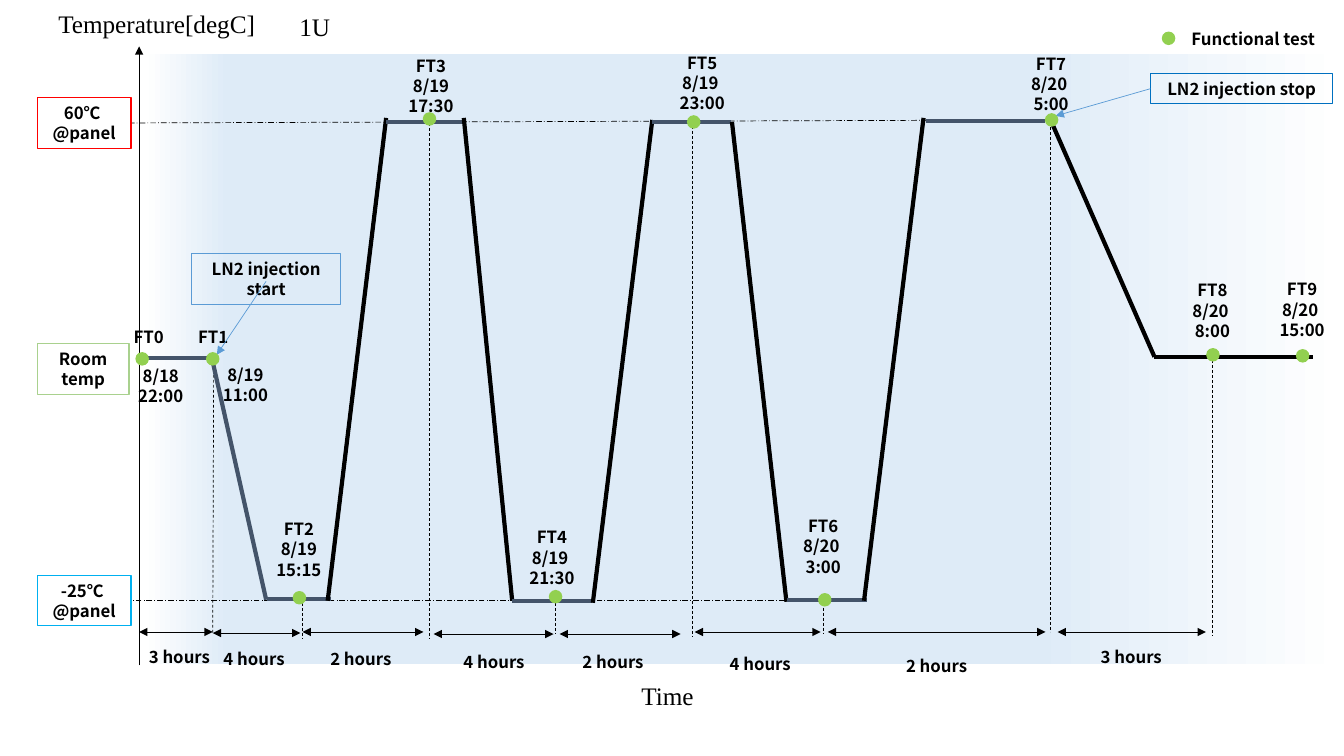
from copy import deepcopy

from lxml.etree import SubElement
from pptx import Presentation
from pptx.dml.color import RGBColor
from pptx.enum.dml import MSO_LINE_DASH_STYLE as Dash
from pptx.enum.shapes import MSO_CONNECTOR as Connector, MSO_SHAPE as Shape
from pptx.enum.text import MSO_AUTO_SIZE as AutoSize, MSO_ANCHOR as Anchor, PP_ALIGN as Align
from pptx.oxml.ns import qn
from pptx.util import Inches, Pt

THEME = {
    "black": "000000", "slate": "44546A", "callout": "5B9BD5", "test": "92D050",
    "hot": "FF0000", "room": "A9D18E", "cold": "00B0F0", "stop": "0070C0",
    "white": "FFFFFF", "chamber": "DEEBF7",
    "label": {"name": "Noto Sans CJK JP", "size": Pt(12), "bold": True},
    "axis": {"name": "Times New Roman", "size": Pt(18), "bold": False},
}
LINE_STYLES = {
    "level": {"color": "black", "width": 0.5, "dash": Dash.LONG_DASH_DOT},
    "drop": {"color": "black", "width": 0.5, "dash": Dash.DASH},
    "axis": {"color": "black", "width": 0.5, "ends": ["tailEnd"]},
    "span": {"color": "black", "width": 0.5, "ends": ["headEnd", "tailEnd"]},
    "callout": {"color": "callout", "width": 0.5, "ends": ["tailEnd"]},
    "ramp": {"color": "black", "width": 3},
    "hold": {"color": "slate", "width": 3},
}
CHAMBER = (1.43, 0.54, 11.9, 6.05)
CHAMBER_STOPS = [(0, "white"), (26, "chamber"), (93, "chamber"), (100, "white")]

GUIDES = [
    ("level", 8.1, 5.96, 1.3, 5.96),
    ("level", 10.37, 1.19, 1.3, 1.22),
    ("axis", 1.38, 6.6, 1.38, 0.46),
]
DROPS = [
    (2.12, 3.57, 2.11, 6.28), (3, 5.98, 3, 6.34), (4.26, 1.17, 4.26, 6.34),
    (5.51, 5.98, 5.51, 6.29), (6.87, 1.15, 6.87, 6.31), (8.17, 5.93, 8.17, 6.29),
    (10.42, 1.21, 10.42, 6.27), (12.02, 3.57, 12.02, 6.31),
]
PROFILE = [
    ("hold", 1.38, 3.55, 2.11, 3.55),
    ("hold", 2.11, 3.59, 2.64, 5.95),
    ("hold", 2.65, 5.94, 3.28, 5.94),
    ("ramp", 3.83, 1.17, 3.25, 5.96),
    ("hold", 3.83, 1.21, 4.61, 1.21),
    ("ramp", 4.6, 1.17, 5.08, 5.96),
    ("hold", 5.08, 5.96, 5.87, 5.96),
    ("ramp", 6.47, 1.19, 5.88, 5.98),
    ("hold", 6.47, 1.21, 7.25, 1.21),
    ("ramp", 7.26, 1.21, 7.8, 5.97),
    ("hold", 7.81, 5.95, 8.6, 5.95),
    ("ramp", 9.16, 1.17, 8.57, 5.96),
    ("hold", 9.18, 1.2, 10.36, 1.2),
    ("ramp", 10.42, 1.19, 11.45, 3.54),
    ("ramp", 11.45, 3.54, 13.02, 3.54),
]
CALLOUT_ARROWS = [(2.64, 2.79, 2.15, 3.52), (11.41, 0.88, 10.47, 1.15)]

DURATIONS = [
    ("3 hours", 1.78, 6.37, (2.11, 1.38, 6.27)),
    ("4 hours", 2.52, 6.39, (2.98, 2.11, 6.28)),
    ("2 hours", 3.58, 6.39, (4.2, 3, 6.27)),
    ("4 hours", 4.9, 6.42, (5.49, 4.3, 6.29)),
    ("2 hours", 6.08, 6.42, (6.75, 5.55, 6.29)),
    ("4 hours", 7.54, 6.44, (8.14, 6.89, 6.27)),
    ("2 hours", 9.29, 6.46, (10.37, 8.21, 6.27)),
    ("3 hours", 11.22, 6.37, (11.96, 10.49, 6.27)),
]
DURATION_SIZE = (1.04, 0.3)

TEST_LABELS = [
    (["FT0"], 1.04, 3.19, 0.87, 0.3),
    (["8/18", "22:00"], 1.03, 3.58, 1.13, 0.5),
    (["FT1"], 1.68, 3.19, 0.87, 0.3),
    (["8/19", "11:00"], 1.87, 3.57, 1.13, 0.5),
    (["FT2", "8/19", "15:15"], 2.53, 5.1, 0.87, 0.71),
    (["FT3", "8/19", "17:30"], 3.84, 0.5, 0.87, 0.71),
    (["FT4", "8/19 ", "21:30"], 4.9, 5.18, 1.15, 0.71),
    (["FT5", "8/19 ", "23:00"], 6.39, 0.47, 1.15, 0.71),
    (["FT6", "8/20 ", "3:00"], 7.59, 5.07, 1.15, 0.71),
    (["FT7", "8/20 ", "5:00"], 9.99, 0.48, 0.87, 0.71),
    (["FT8", "8/20 ", "8:00"], 11.59, 2.73, 0.87, 0.71),
    (["FT9", "8/20 ", "15:00"], 12.48, 2.72, 0.87, 0.71),
    (["Functional test"], 11.64, 0.24, 1.58, 0.3),
]
BOXES = [
    (["60℃ ", "@panel"], "hot", 0.37, 0.97, 0.93, 0.5),
    (["Room temp"], "room", 0.37, 3.41, 0.91, 0.5),
    (["-25℃ ", "@panel"], "cold", 0.37, 5.71, 0.93, 0.5),
    (["LN2 injection start"], "callout", 1.9, 2.52, 1.48, 0.5),
    (["LN2 injection stop"], "stop", 11.41, 0.73, 1.81, 0.3),
]
AXIS_TEXTS = [
    ("Temperature[degC]", Align.LEFT, 0.48, 0.03, 2.24, 0.4),
    ("1U", Align.LEFT, 2.87, 0.06, 1.09, 0.4),
    ("Time", Align.CENTER, 5.5, 6.7, 2.24, 0.4),
]
TEST_DOTS = [
    (1.35, 3.5), (2.05, 3.5), (2.91, 5.87), (4.2, 1.12), (5.45, 5.86), (6.82, 1.15),
    (8.12, 5.89), (10.37, 1.13), (11.97, 3.46), (12.86, 3.47), (11.53, 0.32),
]
DOT_SIZE = 0.12


def color(name):
    return RGBColor.from_string(THEME[name])


def inches(values):
    return [Inches(value) for value in values]


def add_line(slide, style_name, *ends):
    style = LINE_STYLES[style_name]
    connector = slide.shapes.add_connector(Connector.STRAIGHT, *inches(ends))
    connector.line.color.rgb = color(style["color"])
    connector.line.width = Pt(style["width"])
    if "dash" in style:
        connector.line.dash_style = style["dash"]
    line = connector.line._get_or_add_ln()
    for end in style.get("ends", []):
        SubElement(line, qn(f"a:{end}"), type="triangle")
    SubElement(connector._element.spPr, qn("a:effectLst"))


def add_shape(slide, preset, area, outline=None, width=0.75):
    shape = slide.shapes.add_shape(preset, *inches(area))
    shape.shadow.inherit = False
    shape.fill.background()
    if outline:
        shape.line.color.rgb = color(outline)
        shape.line.width = Pt(width)
    else:
        shape.line.fill.background()
    return shape


def write(shape, lines, role="label", alignment=Align.CENTER, anchor=Anchor.TOP):
    frame = shape.text_frame
    frame.text = "\n".join(lines)
    settings = {"word_wrap": True, "auto_size": AutoSize.SHAPE_TO_FIT_TEXT, "vertical_anchor": anchor}
    for name, value in settings.items():
        setattr(frame, name, value)
    for paragraph in frame.paragraphs:
        paragraph.alignment = alignment
        font = paragraph.runs[0].font
        for name, value in THEME[role].items():
            setattr(font, name, value)
        font.color.rgb = color("black")
        properties = paragraph.runs[0]._r.get_or_add_rPr()
        SubElement(properties, qn("a:ea"), typeface=THEME[role]["name"])


def add_text(slide, lines, area, **options):
    write(slide.shapes.add_textbox(*inches(area)), lines, **options)


def add_chamber(slide):
    fill = add_shape(slide, Shape.RECTANGLE, CHAMBER).fill
    fill.gradient()
    fill.gradient_angle = 180
    stop_list = fill.gradient_stops[0]._gs.getparent()
    while len(stop_list) < len(CHAMBER_STOPS):
        stop_list.append(deepcopy(stop_list[0]))
    for stop, (position, name) in zip(fill.gradient_stops, CHAMBER_STOPS):
        stop.position = position / 100
        stop.color.rgb = color(name)


def main():
    presentation = Presentation()
    presentation.slide_width, presentation.slide_height = inches((13.33, 7.5))
    slide = presentation.slides.add_slide(presentation.slide_layouts[6])
    add_chamber(slide)
    for line in GUIDES:
        add_line(slide, *line)
    for ends in DROPS:
        add_line(slide, "drop", *ends)
    for text, center, top, (start, end, height) in DURATIONS:
        add_line(slide, "span", start, height, end, height)
        add_text(slide, [text], (center - DURATION_SIZE[0] / 2, top, *DURATION_SIZE))
    for lines, *area in TEST_LABELS:
        add_text(slide, lines, area)
    for lines, outline, *area in BOXES:
        write(add_shape(slide, Shape.RECTANGLE, area, outline), lines, anchor=Anchor.MIDDLE)
    for ends in CALLOUT_ARROWS:
        add_line(slide, "callout", *ends)
    for line in PROFILE:
        add_line(slide, *line)
    for left, top in TEST_DOTS:
        area = (left, top, DOT_SIZE, DOT_SIZE)
        dot = add_shape(slide, Shape.FLOWCHART_CONNECTOR, area, "test", 1)
        dot.fill.solid()
        dot.fill.fore_color.rgb = color("test")
    for text, alignment, *area in AXIS_TEXTS:
        add_text(slide, [text], area, role="axis", alignment=alignment)
    presentation.save("out.pptx")


if __name__ == "__main__":
    main()
